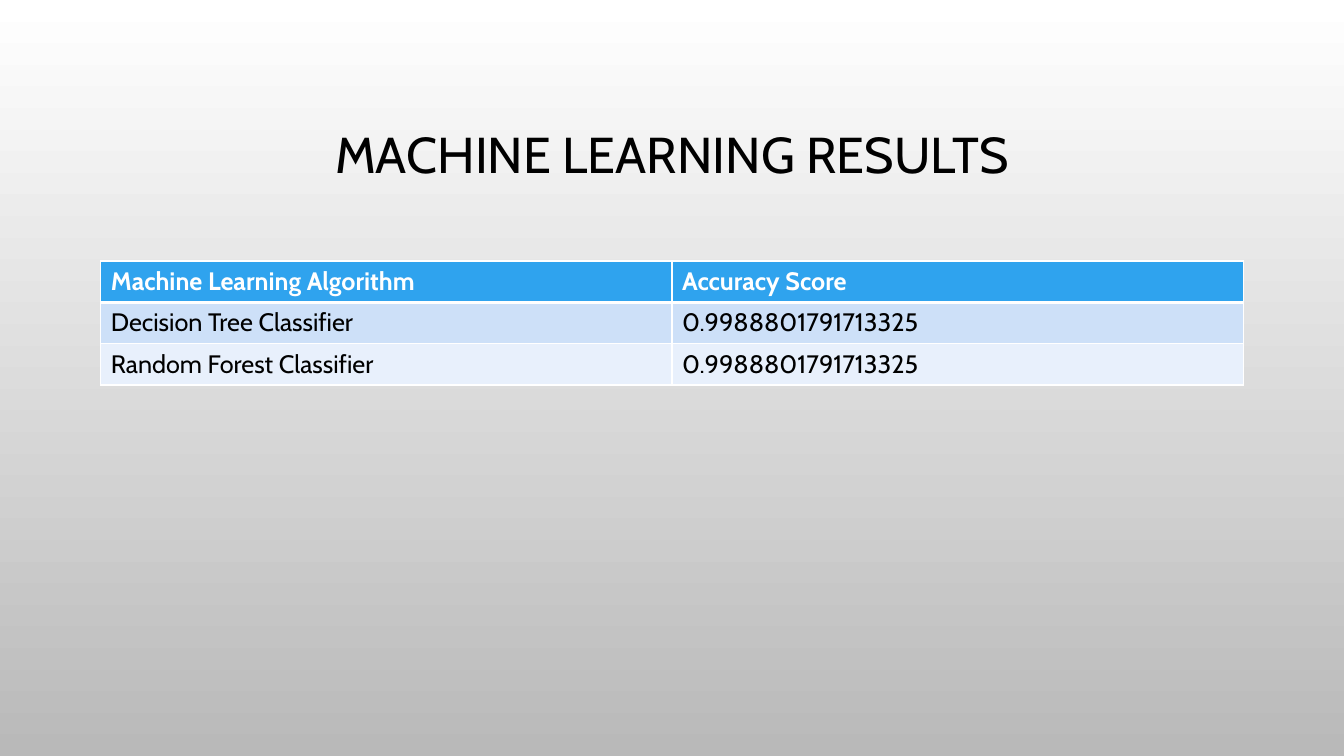
import lxml.etree
import pptx
import pptx.dml.color
import pptx.enum.dml
import pptx.enum.text
import pptx.oxml.ns
import pptx.util

RGB = pptx.dml.color.RGBColor
WHITE, BLACK, GREY = RGB(255, 255, 255), RGB(0, 0, 0), RGB(0xB9, 0xB9, 0xB9)
HEADER_BLUE = RGB(0x2F, 0xA3, 0xEE)
BANDS = [RGB(0xCD, 0xE0, 0xF8), RGB(0xE8, 0xF0, 0xFC)]

TITLE = "MACHINE LEARNING RESULTS"
RESULTS = [
    ("Machine Learning Algorithm", "Accuracy Score"),
    ("Decision Tree Classifier", "0.9988801791713325"),
    ("Random Forest Classifier", "0.9988801791713325"),
]

SLIDE_W, SLIDE_H = pptx.util.Inches(13.33), pptx.util.Inches(7.5)
MARGIN = pptx.util.Inches(1)
CONTENT_W = SLIDE_W - 2 * MARGIN
TITLE_TOP, TITLE_H = pptx.util.Inches(0.68), pptx.util.Inches(1.75)
TABLE_TOP, ROW_H = pptx.util.Inches(2.59), pptx.util.Inches(0.41)

TITLE_FONT = {"name": "Cabin", "size": pptx.util.Pt(36), "bold": False}
HEADER_FONT = {"name": "Cabin", "size": pptx.util.Pt(18), "bold": True}
BODY_FONT = {**HEADER_FONT, "bold": False}


def write(p, text, font, color):
    r = p.add_run()
    r.text = text
    for name, value in font.items():
        setattr(r.font, name, value)
    r.font.color.rgb = color


def add_borders(cell, widths):
    """Draw white borders; widths maps each side (L, R, T, B) to points."""
    qn = pptx.oxml.ns.qn
    tc_pr = cell._tc.get_or_add_tcPr()
    for i, (side, width) in enumerate(widths.items()):
        ln = lxml.etree.Element(qn(f"a:ln{side}"), w=str(pptx.util.Pt(width)))
        fill = lxml.etree.SubElement(ln, qn("a:solidFill"))
        lxml.etree.SubElement(fill, qn("a:srgbClr"), val=str(WHITE))
        tc_pr.insert(i, ln)


def add_background(s):
    fill = s.background.fill
    fill.gradient()
    fill.gradient_angle = 270
    for stop, position, color in zip(fill.gradient_stops, (0, 1), (WHITE, GREY)):
        stop.position = position
        stop.color.rgb = color


def add_title(s):
    tf = s.shapes.add_textbox(MARGIN, TITLE_TOP, CONTENT_W, TITLE_H).text_frame
    tf.word_wrap = True
    tf.vertical_anchor = pptx.enum.text.MSO_ANCHOR.MIDDLE
    p = tf.paragraphs[0]
    p.alignment = pptx.enum.text.PP_ALIGN.CENTER
    p.line_spacing = 0.9
    write(p, TITLE, TITLE_FONT, BLACK)


def add_results(s):
    rows, cols = len(RESULTS), len(RESULTS[0])
    table = s.shapes.add_table(
        rows, cols, MARGIN, TABLE_TOP, CONTENT_W, ROW_H * rows).table
    for i, row in enumerate(RESULTS):
        header = i == 0
        for j, text in enumerate(row):
            cell = table.cell(i, j)
            cell.fill.solid()
            cell.fill.fore_color.rgb = HEADER_BLUE if header else BANDS[(i - 1) % 2]
            write(cell.text_frame.paragraphs[0], text,
                  HEADER_FONT if header else BODY_FONT,
                  WHITE if header else BLACK)
            add_borders(cell, {"L": 1, "R": 1, "T": 3 if i == 1 else 1,
                               "B": 3 if header else 1})


def main():
    prs = pptx.Presentation()
    prs.slide_width, prs.slide_height = SLIDE_W, SLIDE_H
    s = prs.slides.add_slide(prs.slide_layouts[6])
    add_background(s)
    add_title(s)
    add_results(s)
    prs.save("out.pptx")


if __name__ == "__main__":
    main()
